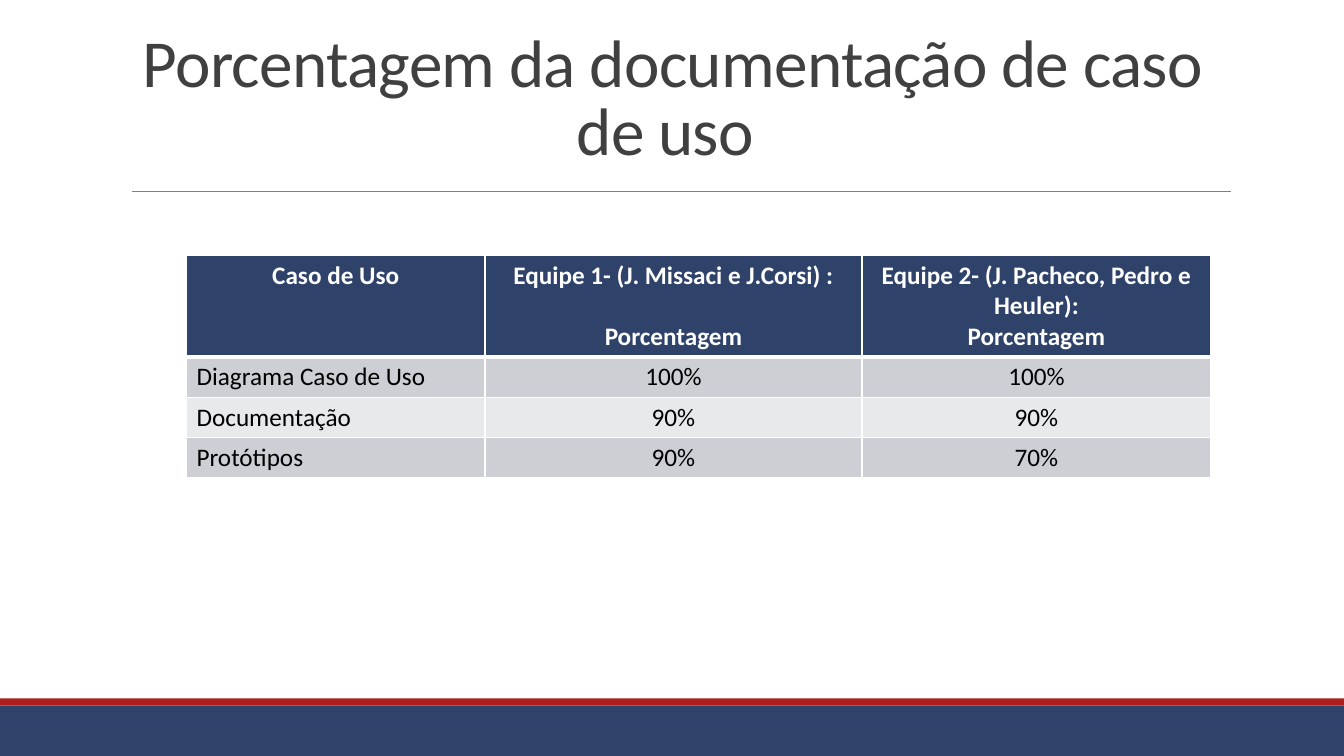
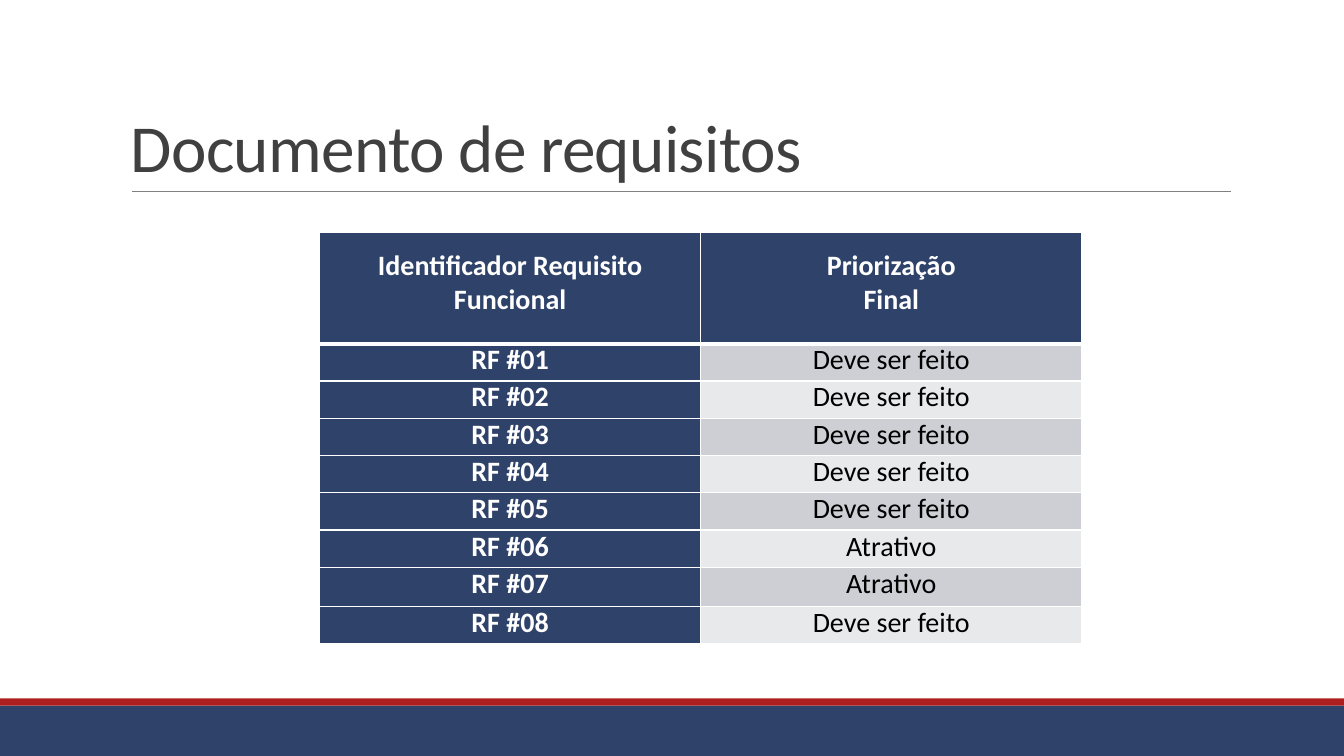
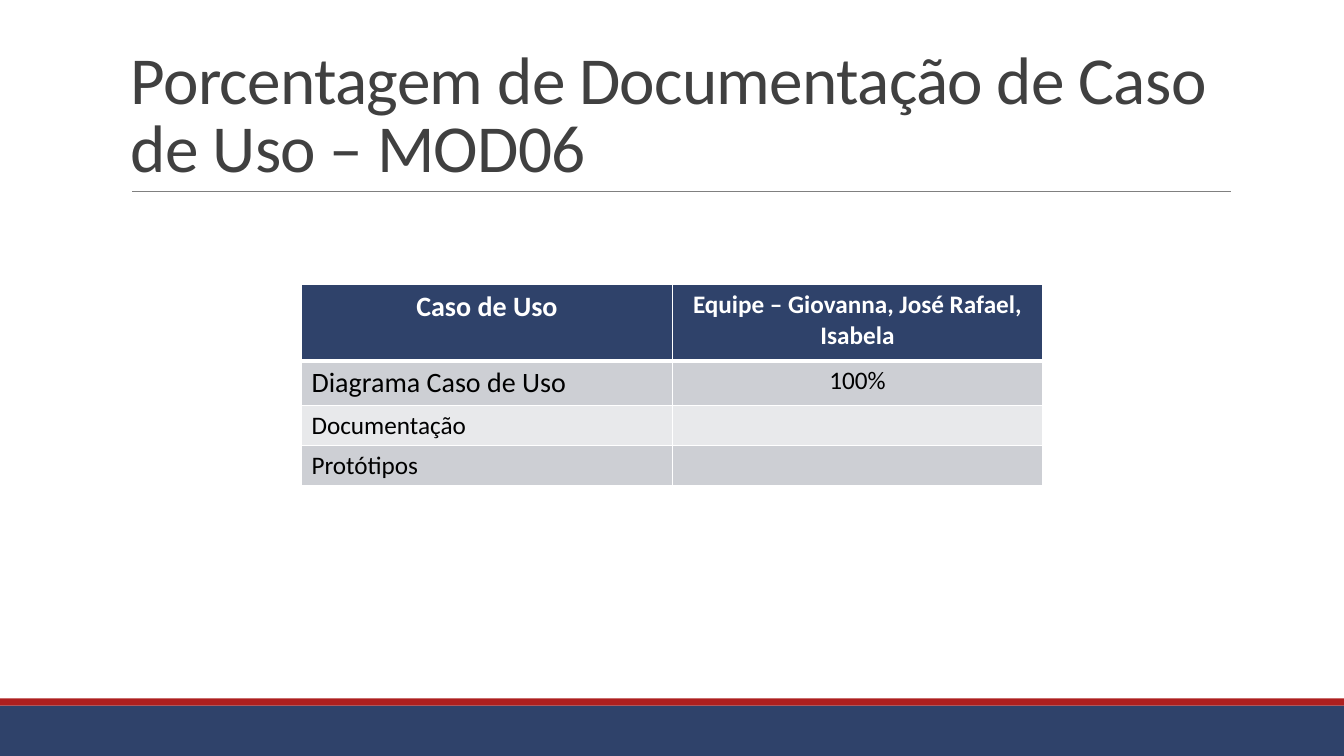
from lxml import etree
from pptx import Presentation
from pptx.dml.color import RGBColor
from pptx.enum.shapes import MSO_CONNECTOR, MSO_SHAPE
from pptx.enum.text import MSO_ANCHOR, PP_ALIGN
from pptx.oxml.ns import qn
from pptx.util import Inches, Pt

RECT, STRAIGHT = MSO_SHAPE.RECTANGLE, MSO_CONNECTOR.STRAIGHT
LEFT, CENTER = PP_ALIGN.LEFT, PP_ALIGN.CENTER
BOTTOM = MSO_ANCHOR.BOTTOM

FONT = "Calibri"
COLORS = {
    "navy": "2F426A", "red": "AD1F1F", "rule": "808080", "title": "404040",
    "white": "FFFFFF", "black": "000000", "odd": "CDCFD4", "even": "E8E9EB",
}
SLIDE_W, SLIDE_H = 13.33, 7.5
BANDS = [(7, 0.5, "navy"), (6.93, 0.07, "red")]
TITLE_BOX = (1.2, 0.31, 11, 1.59)

TEAM_ROWS = [
    ["Caso de Uso", "Equipe 1- (J. Missaci e J.Corsi) :\nPorcentagem",
     "Equipe 2- (J. Pacheco, Pedro e Heuler):\nPorcentagem"],
    ["Diagrama Caso de Uso", "100%", "100%"],
    ["Documentação", "90%", "90%"],
    ["Protótipos", "90%", "70%"],
]
PRIORITIES = ["Deve ser feito"] * 5 + ["Atrativo"] * 2 + ["Deve ser feito"]
REQUIREMENT_ROWS = [["Identificador Requisito\nFuncional", "Priorização\nFinal"]] + [
    [f"RF #{n:02}", priority] for n, priority in enumerate(PRIORITIES, 1)]
MODULE_ROWS = [
    ["Caso de Uso", "Equipe – Giovanna, José Rafael, Isabela"],
    ["Diagrama Caso de Uso", "100%"],
    ["Documentação", ""],
    ["Protótipos", ""],
]


def rgb(name):
    return RGBColor.from_string(COLORS[name])


def set_attrs(obj, **values):
    for name, value in values.items():
        setattr(obj, name, value)


def write_paragraph(p, text, size, color, bold=False, **layout):
    set_attrs(p, **layout)
    r = p.add_run()
    r.text = text
    set_attrs(r.font, name=FONT, size=Pt(size), bold=bold)
    r.font.color.rgb = rgb(color)
    return r


def add_band(s, top, height, color):
    sp = s.shapes.add_shape(RECT, 0, Inches(top), Inches(SLIDE_W), Inches(height))
    sp.shadow.inherit = False
    sp.fill.solid()
    sp.fill.fore_color.rgb = rgb(color)
    sp.line.fill.background()


def add_rule(s):
    line = s.shapes.add_connector(
        STRAIGHT, Inches(1.31), Inches(1.9), Inches(12.21), Inches(1.9))
    line.line.color.rgb = rgb("rule")
    line.line.width = Pt(0.5)
    etree.SubElement(line._element.spPr, qn("a:effectLst"))


def add_title(s, text, box, align):
    tf = s.shapes.add_textbox(*map(Inches, box)).text_frame
    set_attrs(tf, word_wrap=True, vertical_anchor=BOTTOM)
    r = write_paragraph(tf.paragraphs[0], text, 48, "title",
                        alignment=align, line_spacing=0.85)
    r.font._element.set("spc", "-50")


def add_slide(prs, title, box=TITLE_BOX, align=LEFT):
    s = prs.slides.add_slide(prs.slide_layouts[6])
    for band in BANDS:
        add_band(s, *band)
    add_rule(s)
    add_title(s, title, box, align)
    return s


def set_borders(cell, top=1, bottom=1):
    tc_pr = cell._tc.get_or_add_tcPr()
    for side, width in (("L", 1), ("R", 1), ("T", top), ("B", bottom)):
        ln = etree.SubElement(tc_pr, qn(f"a:ln{side}"), w=str(Pt(width)))
        fill = etree.SubElement(ln, qn("a:solidFill"))
        etree.SubElement(fill, qn("a:srgbClr"), val=COLORS["white"])


def add_table(s, left, top, widths, heights, rows, size=18, sizes=None,
              gap=0, spacing=None, header_col=False, margins=None):
    """Draw a banded table.

    sizes overrides the text size of (row, column) cells, gap is the space
    between header paragraphs, and margins gives cell insets by row.
    """
    tbl = s.shapes.add_table(
        len(rows), len(widths), Inches(left), Inches(top),
        Inches(sum(widths)), Inches(sum(heights))).table
    set_attrs(tbl, first_row=False, horz_banding=False)
    for col, width in zip(tbl.columns, widths):
        col.width = Inches(width)
    for i, (row, height) in enumerate(zip(rows, heights)):
        tbl.rows[i].height = Inches(height)
        for j, text in enumerate(row):
            cell = tbl.cell(i, j)
            head = i == 0 or (header_col and j == 0)
            set_borders(cell, top=3 if i == 1 else 1, bottom=3 if i == 0 else 1)
            cell.fill.solid()
            cell.fill.fore_color.rgb = rgb("navy" if head else "odd" if i % 2 else "even")
            if margins:
                set_attrs(cell, **margins(i))
            if not text:
                continue
            for n, line in enumerate(text.split("\n")):
                p = cell.text_frame.paragraphs[0] if n == 0 else cell.text_frame.add_paragraph()
                write_paragraph(
                    p, line, (sizes or {}).get((i, j), size),
                    "white" if head else "black", bold=head,
                    alignment=CENTER if head or j else LEFT,
                    line_spacing=spacing)
                if n and gap:
                    p.space_before = Pt(gap)
    return tbl


def requirement_margins(row):
    return {"margin_left": Inches(0.07), "margin_right": Inches(0.07),
            "margin_top": Pt(12 if row else 24), "margin_bottom": 0}


def main():
    prs = Presentation()
    set_attrs(prs, slide_width=Inches(SLIDE_W), slide_height=Inches(SLIDE_H))

    s = add_slide(prs, "Porcentagem da documentação de caso de uso ",
                  (1.17, 0.14, 11, 1.59), CENTER)
    tbl = add_table(s, 1.85, 2.53, [2.96, 3.74, 3.46], [1.01] + [0.4] * 3, TEAM_ROWS)
    tbl.cell(0, 1).text_frame.paragraphs[1].space_before = Pt(22)

    s = add_slide(prs, "Documento de requisitos")
    add_table(s, 3.17, 2.31, [3.78] * 2, [1.1] + [0.37] * 6 + [0.39, 0.37],
              REQUIREMENT_ROWS, size=20, gap=12, spacing=Pt(12),
              header_col=True, margins=requirement_margins)

    s = add_slide(prs, "Porcentagem de Documentação de Caso de Uso – MOD06")
    add_table(s, 2.99, 2.82, [3.68, 3.67], [0.76, 0.44, 0.4, 0.4], MODULE_ROWS,
              sizes={(0, 0): 20, (1, 0): 20})

    prs.save("out.pptx")


if __name__ == "__main__":
    main()
